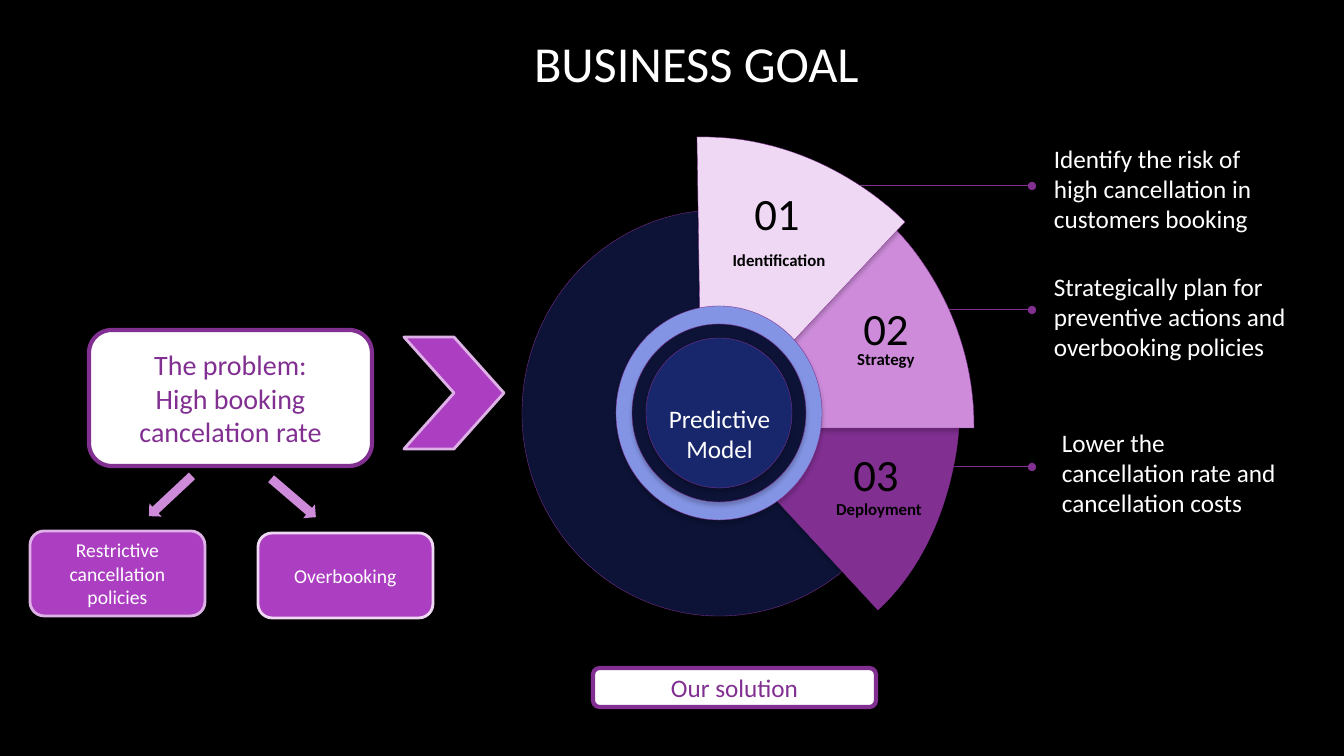
from dataclasses import dataclass

from lxml import etree
from pptx import Presentation
from pptx.dml.color import RGBColor
from pptx.enum.shapes import MSO_CONNECTOR, MSO_SHAPE
from pptx.enum.text import MSO_ANCHOR, PP_ALIGN
from pptx.oxml.ns import qn
from pptx.util import Pt

ROUND, OVAL = MSO_SHAPE.ROUNDED_RECTANGLE, MSO_SHAPE.OVAL
ARROW, CHEVRON = MSO_SHAPE.RIGHT_ARROW, MSO_SHAPE.CHEVRON
STRAIGHT = MSO_CONNECTOR.STRAIGHT
LEFT, CENTER = PP_ALIGN.LEFT, PP_ALIGN.CENTER
TOP, MIDDLE = MSO_ANCHOR.TOP, MSO_ANCHOR.MIDDLE
SCALE = 12192000 / 1344


@dataclass(frozen=True)
class Theme:
    font: str = "Calibri"
    black: str = "000000"
    white: str = "FFFFFF"
    plum: str = "812F91"
    purple: str = "AC3EC1"
    orchid: str = "CD8BDA"
    lilac: str = "DEB2E6"
    mist: str = "EED8F3"
    navy: str = "0C1336"
    blue: str = "18276C"
    sky: str = "8394E4"
    title: int = 36
    number: int = 32
    problem: int = 20
    body: int = 18
    effect: int = 14
    label: int = 12


T = Theme()


def px(n):
    return round(n * SCALE)


def rgb(color):
    return RGBColor.from_string(color)


def write(shape, text, size=T.body, color=T.white, bold=False, align=CENTER,
          anchor=TOP, inset=None):
    tf = shape.text_frame
    tf.word_wrap = True
    tf.vertical_anchor = anchor
    if inset is not None:
        tf.margin_left = tf.margin_right = px(inset)
        tf.margin_top = tf.margin_bottom = px(inset)
    for i, line in enumerate(text.split("\n")):
        p = tf.paragraphs[0] if i == 0 else tf.add_paragraph()
        p.alignment = align
        r = p.add_run()
        r.text = line
        r.font.name, r.font.size, r.font.bold = T.font, Pt(size), bold
        r.font.color.rgb = rgb(color)


def add_text(s, x, y, w, h, text, **style):
    write(s.shapes.add_textbox(px(x), px(y), px(w), px(h)), text, **style)


def paint(sp, fill, line=None, width=0.25, shadow=False):
    sp.fill.solid()
    sp.fill.fore_color.rgb = rgb(fill)
    if line:
        sp.line.color.rgb = rgb(line)
        sp.line.width = Pt(width)
    else:
        sp.line.fill.background()
    sp.shadow.inherit = False
    if shadow:
        effects = sp.element.spPr.find(qn("a:effectLst"))
        outer = etree.SubElement(effects, qn("a:outerShdw"), blurRad=str(Pt(3)),
                                 dist=str(Pt(2)), dir="5400000", algn="t", rotWithShape="0")
        color = etree.SubElement(outer, qn("a:srgbClr"), val=T.black)
        etree.SubElement(color, qn("a:alpha"), val="20000")


def add_shape(s, kind, x, y, w, h, fill, **look):
    sp = s.shapes.add_shape(kind, px(x), px(y), px(w), px(h))
    paint(sp, fill, **look)
    return sp


def add_title(s, box):
    title = s.shapes.title
    title.left, title.top, title.width, title.height = map(px, box)
    write(title, "BUSINESS GOAL", size=T.title)


def add_problem(s, box):
    x, y, w, h = box
    card = add_shape(s, ROUND, x + 59, y, 283, 136, T.white, line=T.plum, width=3)
    write(card, "The problem:\nHigh booking cancelation rate",
          size=T.problem, color=T.plum, anchor=MIDDLE)
    effects = [
        (0, 201, T.lilac, "Restrictive cancellation policies", 111, 157, 136.9),
        (228, 203, T.mist, "Overbooking", 234, 159, 40.6),
    ]
    for dx, dy, outline, text, arrow_x, arrow_y, angle in effects:
        sp = add_shape(s, ROUND, x + dx, y + dy, 175, 85, T.purple, line=outline, width=2)
        write(sp, text, size=T.effect, anchor=MIDDLE)
        arrow = add_shape(s, ARROW, x + arrow_x, y + arrow_y, 59, 18, T.orchid)
        arrow.rotation = angle
    add_shape(s, CHEVRON, x + w - 100, y + 7, 100, 112, T.purple, line=T.lilac, width=2)


def add_goals(s, box):
    x, y, w, h = box
    goals = [
        (0, 48, 274, 0, "Identify the risk of high cancellation in customers booking"),
        (158, 172, 274, 128,
         "Strategically plan for\npreventive actions and overbooking policies"),
        (152, 329, 282, 284, "Lower the cancellation rate and cancellation costs"),
    ]
    for start, line_y, text_x, text_y, text in goals:
        line = s.shapes.add_connector(STRAIGHT, px(x + start), px(y + line_y),
                                      px(x + 262), px(y + line_y))
        line.line.color.rgb = rgb(T.plum)
        line.line.width = Pt(0.75)
        etree.SubElement(line.line._get_or_add_ln(), qn("a:tailEnd"), type="oval")
        etree.SubElement(line.element.spPr, qn("a:effectLst"))
        text_w = min(270, w - text_x)
        add_text(s, x + text_x, y + text_y, text_w, 102, text, align=LEFT)


def add_wedge(s, x, y, corners, bend, fill):
    start, end = corners[-1], corners[0]
    steps = 32
    arc = []
    for i in range(1, steps):
        t = i / steps
        u = 1 - t
        weights = (u ** 3 + 3 * u * u * t, 3 * u * t * t, t ** 3)
        arc.append(tuple(sum(k * p[axis] for k, p in zip(weights, (start, bend, end)))
                         for axis in (0, 1)))
    points = [(px(x + a), px(y + b)) for a, b in corners + arc]
    outline = s.shapes.build_freeform(*points[0], scale=1.0)
    outline.add_line_segments(points[1:], close=True)
    paint(outline.convert_to_shape(), fill, line=T.plum, shadow=True)


def add_wheel(s, box):
    x, y, w, h = box

    def ring(width, height, fill, shadow=True):
        add_shape(s, OVAL, x + 197 - width / 2, y + 279 - height / 2, width, height,
                  fill, line=T.plum, shadow=shadow)

    ring(394, 406, T.navy, shadow=False)
    wedges = [
        ([(356, 476), (244, 355), (282, 294), (438, 280), (437, 293)], (433, 405), T.plum),
        ([(452, 294), (282, 294), (256, 217), (364, 89), (375, 97)], (453, 172), T.orchid),
        ([(175, 3), (178, 192), (260, 219), (383, 88)], (302, 0), T.mist),
    ]
    for corners, bend, fill in wedges:
        add_wedge(s, x, y, corners, bend, fill)
    for width, height, fill in [(206, 214, T.sky), (174, 178, T.navy), (146, 150, T.blue)]:
        ring(width, height, fill)

    labels = [
        ("01", 255, 52, "Identification", 257, 116),
        ("02", 364, 167, "Strategy", 364, 215),
        ("03", 354, 313, "Deployment", 357, 365),
    ]
    for number, num_x, num_y, name, name_x, name_y in labels:
        add_text(s, x + num_x - 53, y + num_y, 106, 54, number,
                 size=T.number, color=T.black, inset=0)
        add_text(s, x + name_x - 60, y + name_y, 120, 22, name,
                 size=T.label, color=T.black, bold=True, inset=0)
    add_text(s, x + 130, y + 264, 135, 72, "Predictive\nModel")
    caption = add_shape(s, ROUND, x + 71, y + h - 39, 283, 39, T.white, line=T.plum, width=3)
    write(caption, "Our solution", color=T.plum, anchor=MIDDLE)


def main():
    prs = Presentation()
    prs.slide_width, prs.slide_height = px(1344), px(756)
    s = prs.slides.add_slide(prs.slide_layouts[5])
    s.background.fill.solid()
    s.background.fill.fore_color.rgb = rgb(T.black)
    add_title(s, (138, 27, 1117, 85))
    add_problem(s, (30, 330, 474, 288))
    add_goals(s, (770, 138, 527, 386))
    add_wheel(s, (522, 134, 453, 573))
    prs.save("out.pptx")


if __name__ == "__main__":
    main()
